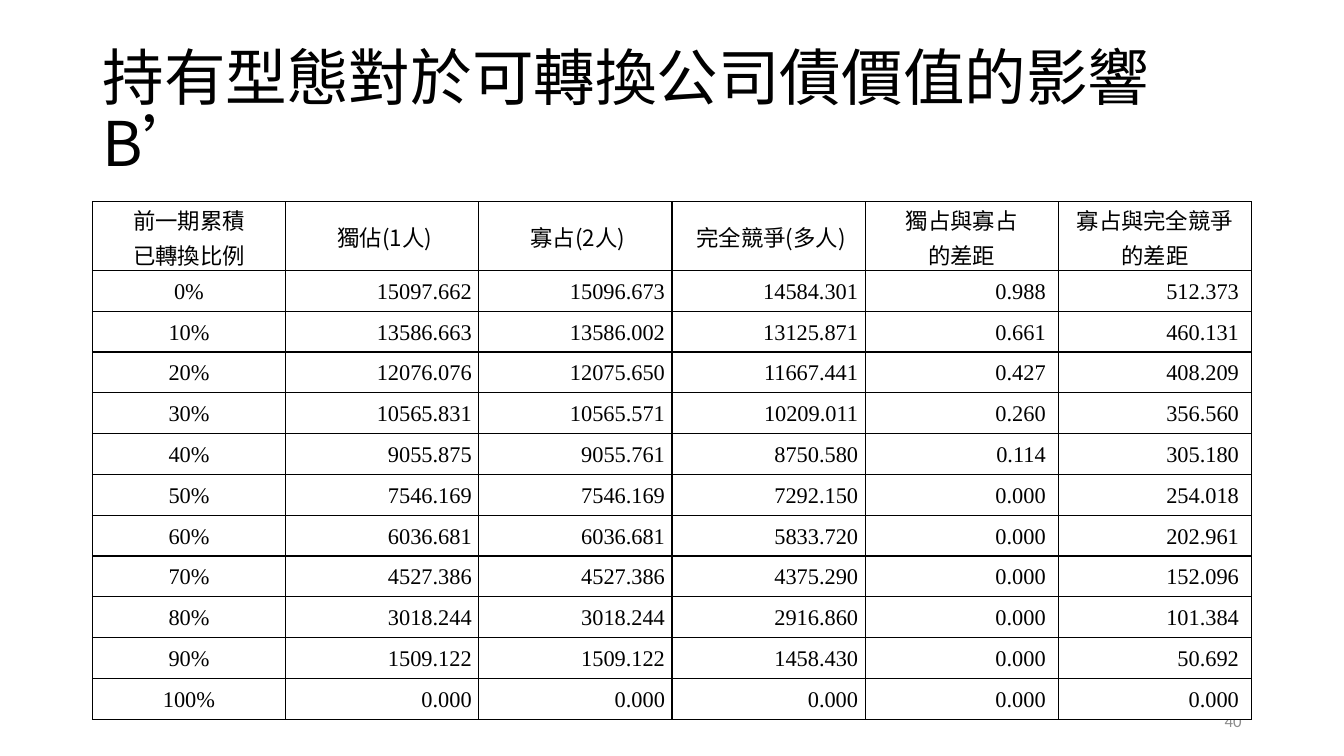
from dataclasses import dataclass

from lxml.etree import SubElement
from pptx import Presentation
from pptx.dml.color import RGBColor
from pptx.enum.text import MSO_ANCHOR, MSO_AUTO_SIZE, PP_ALIGN
from pptx.oxml.ns import qn
from pptx.util import Emu, Inches, Pt

GRID_UNIT = Inches(1) // 12
SANS, SERIF, FOOTER_FONT = "Noto Sans CJK SC", "Times New Roman", "Calibri"
BLACK, WHITE, GREY = "000000", "FFFFFF", "8C8C8C"
HEADER_ROWS, BODY_ROWS = 8.2, 4.86

TITLE = "持有型態對於可轉換公司債價值的影響B’"
HEADINGS = (
    "前一期累積\n已轉換比例",
    " 獨佔(1人)",
    " 寡占(2人)",
    " 完全競爭(多人)",
    "獨占與寡占\n的差距",
    "寡占與完全競爭\n的差距",
)
BOND_VALUES = (
    ("0%", "15097.662", "15096.673", "14584.301", "0.988 ", "512.373 "),
    ("10%", "13586.663", "13586.002", "13125.871", "0.661 ", "460.131 "),
    ("20%", "12076.076", "12075.650", "11667.441", "0.427 ", "408.209 "),
    ("30%", "10565.831", "10565.571", "10209.011", "0.260 ", "356.560 "),
    ("40%", "9055.875", "9055.761", "8750.580", "0.114 ", "305.180 "),
    ("50%", "7546.169", "7546.169", "7292.150", "0.000 ", "254.018 "),
    ("60%", "6036.681", "6036.681", "5833.720", "0.000 ", "202.961 "),
    ("70%", "4527.386", "4527.386", "4375.290", "0.000 ", "152.096 "),
    ("80%", "3018.244", "3018.244", "2916.860", "0.000 ", "101.384 "),
    ("90%", "1509.122", "1509.122", "1458.430", "0.000 ", "50.692 "),
    ("100%", "0.000", "0.000", "0.000", "0.000 ", "0.000 "),
)


@dataclass(frozen=True)
class Area:
    """A place on the slide's grid of 160 columns by 90 rows."""
    column: float
    row: float
    columns: float
    rows: float

    def lengths(self) -> tuple[Emu, Emu, Emu, Emu]:
        """Return left, top, width and height."""
        return tuple(map(grid, (self.column, self.row, self.columns, self.rows)))


@dataclass(frozen=True)
class Style:
    """The look of a piece of text."""
    font: str
    size: float
    colour: str
    align: PP_ALIGN
    spacing: float = 1.0


TITLE_STYLE = Style(SANS, 44, BLACK, PP_ALIGN.LEFT, 0.9)
NUMBER_STYLE = Style(FOOTER_FONT, 12, GREY, PP_ALIGN.RIGHT)
HEADING_STYLE = Style(SANS, 16, BLACK, PP_ALIGN.CENTER, 1.07)
RATIO_STYLE = Style(SERIF, 16, BLACK, PP_ALIGN.CENTER, 1.07)
VALUE_STYLE = Style(SERIF, 16, BLACK, PP_ALIGN.RIGHT, 1.07)

TITLE_AREA = Area(11, 4.8, 138, 17.4)
NUMBER_AREA = Area(113, 83.4, 36, 4.8)
TABLE_AREA = Area(11, 24, 138, HEADER_ROWS + BODY_ROWS * len(BOND_VALUES))


def grid(units: float) -> Emu:
    """Turn grid units into a length."""
    return Emu(round(units * GRID_UNIT))


def rgb(colour: str) -> RGBColor:
    """Turn a hex string into a colour."""
    return RGBColor.from_string(colour)


def write(frame, text: str, style: Style) -> None:
    """Write each line of the text as a styled paragraph."""
    for index, line in enumerate(text.split("\n")):
        paragraph = frame.add_paragraph() if index else frame.paragraphs[0]
        paragraph.alignment = style.align
        paragraph.line_spacing = style.spacing
        run = paragraph.add_run()
        run.text = line
        run.font.size = Pt(style.size)
        run.font.color.rgb = rgb(style.colour)
        run.font.name = style.font
        SubElement(run.font._element, qn("a:ea"), typeface=style.font)


def outline(cell) -> None:
    """Draw a thin black border on all four sides of a cell."""
    properties = cell._tc.get_or_add_tcPr()
    for side in ("a:lnL", "a:lnR", "a:lnT", "a:lnB"):
        border = SubElement(properties, qn(side), w=str(Pt(1)))
        paint = SubElement(border, qn("a:solidFill"))
        SubElement(paint, qn("a:srgbClr"), val=BLACK)


def fill_cell(cell, text: str, style: Style) -> None:
    """Format one table cell and write its text."""
    outline(cell)
    cell.fill.solid()
    cell.fill.fore_color.rgb = rgb(WHITE)
    cell.vertical_anchor = MSO_ANCHOR.MIDDLE
    cell.margin_left = cell.margin_right = Inches(0.07)
    cell.margin_top = cell.margin_bottom = 0
    write(cell.text_frame, text, style)


def add_title(slide) -> None:
    """Place and write the slide title."""
    title = slide.shapes.title
    title.left, title.top, title.width, title.height = TITLE_AREA.lengths()
    title.text_frame.auto_size = MSO_AUTO_SIZE.NONE
    title.text_frame.vertical_anchor = MSO_ANCHOR.MIDDLE
    write(title.text_frame, TITLE, TITLE_STYLE)


def add_page_number(slide) -> None:
    """Write the page number at the lower right."""
    frame = slide.shapes.add_textbox(*NUMBER_AREA.lengths()).text_frame
    frame.word_wrap = True
    frame.vertical_anchor = MSO_ANCHOR.MIDDLE
    write(frame, "40", NUMBER_STYLE)


def add_value_table(slide) -> None:
    """Build the table of bond values by holding pattern."""
    records = (HEADINGS, *BOND_VALUES)
    table = slide.shapes.add_table(
        len(records), len(HEADINGS), *TABLE_AREA.lengths()).table
    table.first_row = table.horz_banding = False
    for row, record in enumerate(records):
        table.rows[row].height = grid(BODY_ROWS if row else HEADER_ROWS)
        for column, text in enumerate(record):
            body_style = VALUE_STYLE if column else RATIO_STYLE
            fill_cell(table.cell(row, column), text,
                      body_style if row else HEADING_STYLE)


def main() -> None:
    """Build and save the slide."""
    deck = Presentation()
    deck.slide_width, deck.slide_height = grid(160), grid(90)
    slide = deck.slides.add_slide(deck.slide_layouts[5])
    add_title(slide)
    add_page_number(slide)
    add_value_table(slide)
    deck.save("out.pptx")


if __name__ == "__main__":
    main()
